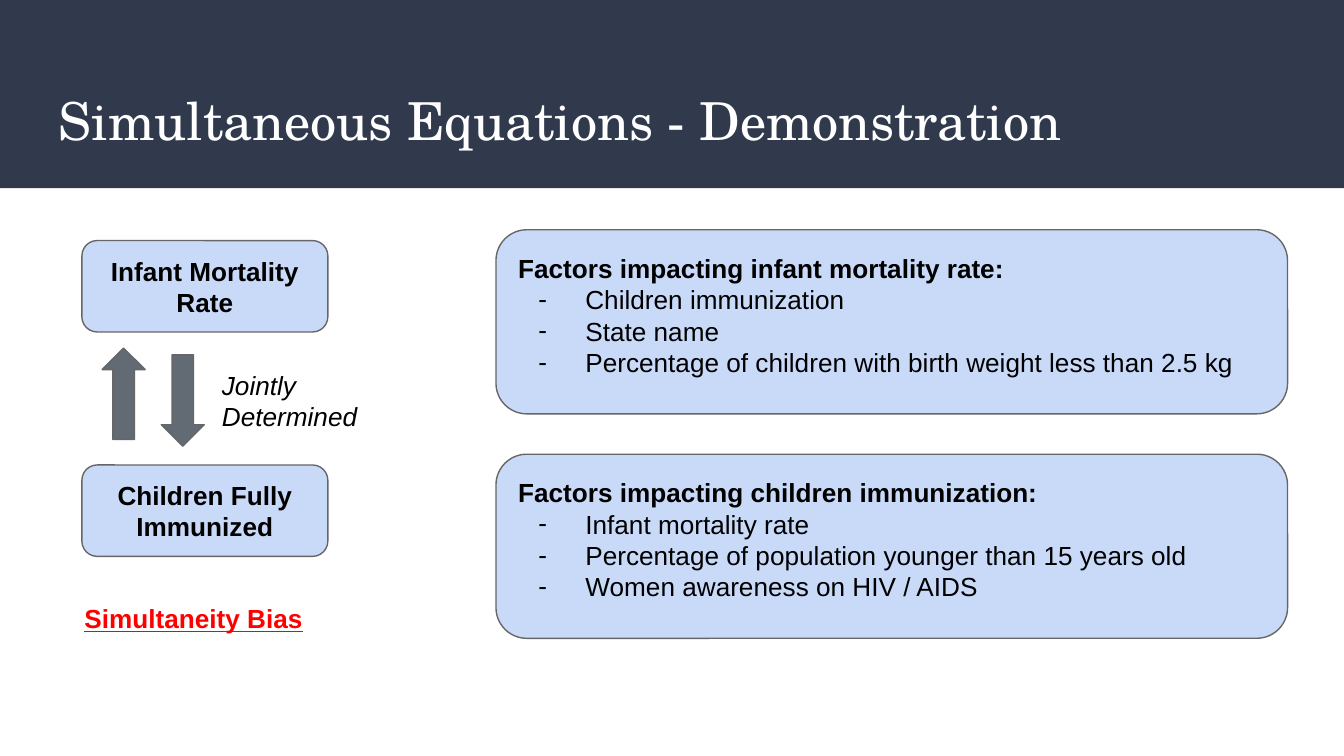
from pptx import Presentation
from pptx.dml.color import RGBColor
from pptx.enum.shapes import MSO_SHAPE as Shape
from pptx.enum.text import MSO_ANCHOR as Anchor, PP_ALIGN as Align
from pptx.oxml.ns import qn
from pptx.util import Inches, Pt
from lxml.etree import SubElement

WIDTH = 10
HEIGHT = WIDTH * 9 / 16
ROW_PITCH = 1.67                    # distance between the two rows
LEFT_COL, RIGHT_COL = 0.61, 3.69
BOX_W, BOX_H = 1.83, 0.68
PANEL_W, PANEL_H = 5.89, 1.37
NAVY, PALE, GREY, EDGE = "31394D", "C9DAF8", "626B73", "666666"

ROWS = [
    ("Infant Mortality Rate", "Factors impacting infant mortality rate:",
     ["Children immunization", "State name",
      "Percentage of children with birth weight less than 2.5 kg"]),
    ("Children Fully Immunized", "Factors impacting children immunization:",
     ["Infant mortality rate",
      "Percentage of population younger than 15 years old",
      "Women awareness on HIV / AIDS"]),
]


def color(value):
    return RGBColor.from_string(value)


def frame(sp, anchor=Anchor.MIDDLE):
    tf = sp.text_frame
    tf.word_wrap = True
    tf.vertical_anchor = anchor
    tf.margin_left = tf.margin_right = Inches(0.1)
    tf.margin_top = tf.margin_bottom = Inches(0.1)
    return tf


def write(p, text, size=14, font="Arial", fill="000000", align=Align.LEFT,
          bold=False, italic=False, underline=False):
    p.alignment = align
    r = p.add_run()
    r.text = text
    f = r.font
    f.size, f.name, f.color.rgb = Pt(size), font, color(fill)
    f.bold, f.italic, f.underline = bold, italic, underline


def add_shape(s, kind, x, y, w, h, fill=None, line=None):
    sp = s.shapes.add_shape(kind, Inches(x), Inches(y), Inches(w), Inches(h))
    sp.shadow.inherit = False
    if fill:
        sp.fill.solid()
        sp.fill.fore_color.rgb = color(fill)
    else:
        sp.fill.background()
    if line:
        sp.line.color.rgb = color(line)
        sp.line.width = Pt(0.75)
    else:
        sp.line.fill.background()
    return sp


def add_label(s, x, y, w, h, text, **fmt):
    sp = s.shapes.add_textbox(Inches(x), Inches(y), Inches(w), Inches(h))
    write(frame(sp).paragraphs[0], text, **fmt)


def add_box(s, x, y, text, fill=None, line=None, **fmt):
    sp = add_shape(s, Shape.ROUNDED_RECTANGLE, x, y, BOX_W, BOX_H, fill, line)
    write(frame(sp).paragraphs[0], text, **fmt)


def set_dash(p):
    pPr = p._p.get_or_add_pPr()
    pPr.set("marL", str(Inches(0.5)))
    pPr.set("indent", str(Inches(-0.35)))
    clr = SubElement(pPr, qn("a:buClr"))
    SubElement(clr, qn("a:srgbClr")).set("val", "000000")
    SubElement(pPr, qn("a:buFont")).set("typeface", "Arial")
    SubElement(pPr, qn("a:buChar")).set("char", "-")


def add_panel(s, x, y, heading, factors):
    sp = add_shape(s, Shape.ROUNDED_RECTANGLE, x, y, PANEL_W, PANEL_H, PALE, EDGE)
    tf = frame(sp, Anchor.TOP)
    write(tf.paragraphs[0], heading, bold=True)
    for factor in factors:
        p = tf.add_paragraph()
        write(p, factor)
        set_dash(p)


def add_arrow(s, x, y, rotation=0):
    sp = add_shape(s, Shape.UP_ARROW, x, y, 0.32, BOX_H, GREY, EDGE)
    sp.rotation = rotation


def main():
    prs = Presentation()
    prs.slide_width, prs.slide_height = Inches(WIDTH), Inches(HEIGHT)
    s = prs.slides.add_slide(prs.slide_layouts[6])

    # Title band
    add_shape(s, Shape.RECTANGLE, 0, 0, WIDTH, 1.4, NAVY)
    add_label(s, 0.34, 0.55, WIDTH - 2 * 0.34, 0.68,
              "Simultaneous Equations - Demonstration",
              size=28, font="TeX Gyre Schola", fill="FFFFFF")

    # Variables on the left, their factors on the right
    for i, (variable, heading, factors) in enumerate(ROWS):
        offset = i * ROW_PITCH
        add_box(s, LEFT_COL, 1.79 + offset, variable, PALE, EDGE,
                align=Align.CENTER, bold=True)
        add_panel(s, RIGHT_COL, 1.71 + offset, heading, factors)

    # Two-way link between the variables
    add_arrow(s, 0.76, 2.59)
    add_arrow(s, 1.2, 2.64, rotation=180)
    add_box(s, 1.52, 2.64, "Jointly Determined", italic=True)

    # Conclusion
    add_label(s, 0.53, 4.21, BOX_W, 0.78, "Simultaneity Bias",
              fill="FF0000", bold=True, underline=True)

    prs.save("out.pptx")


if __name__ == "__main__":
    main()
